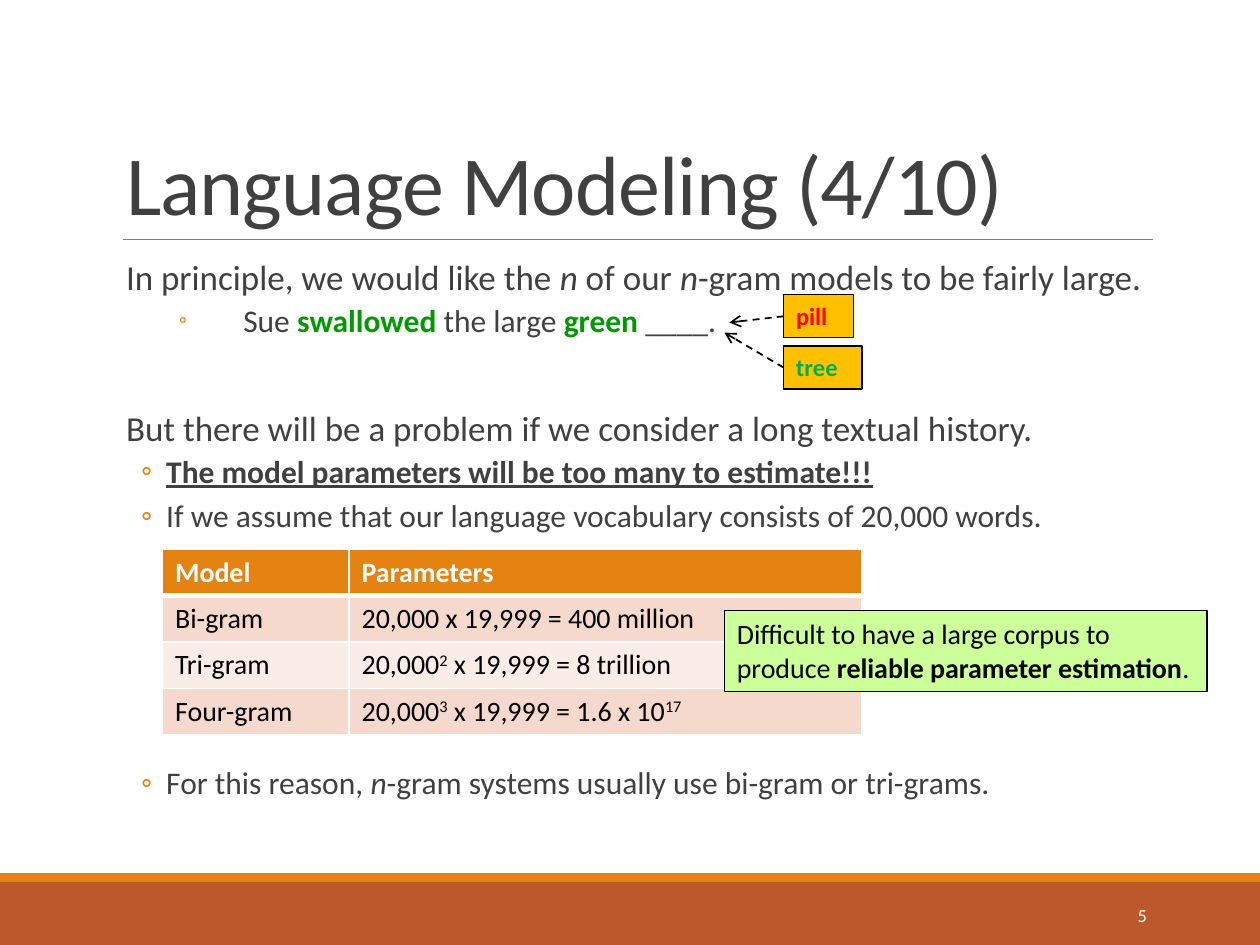
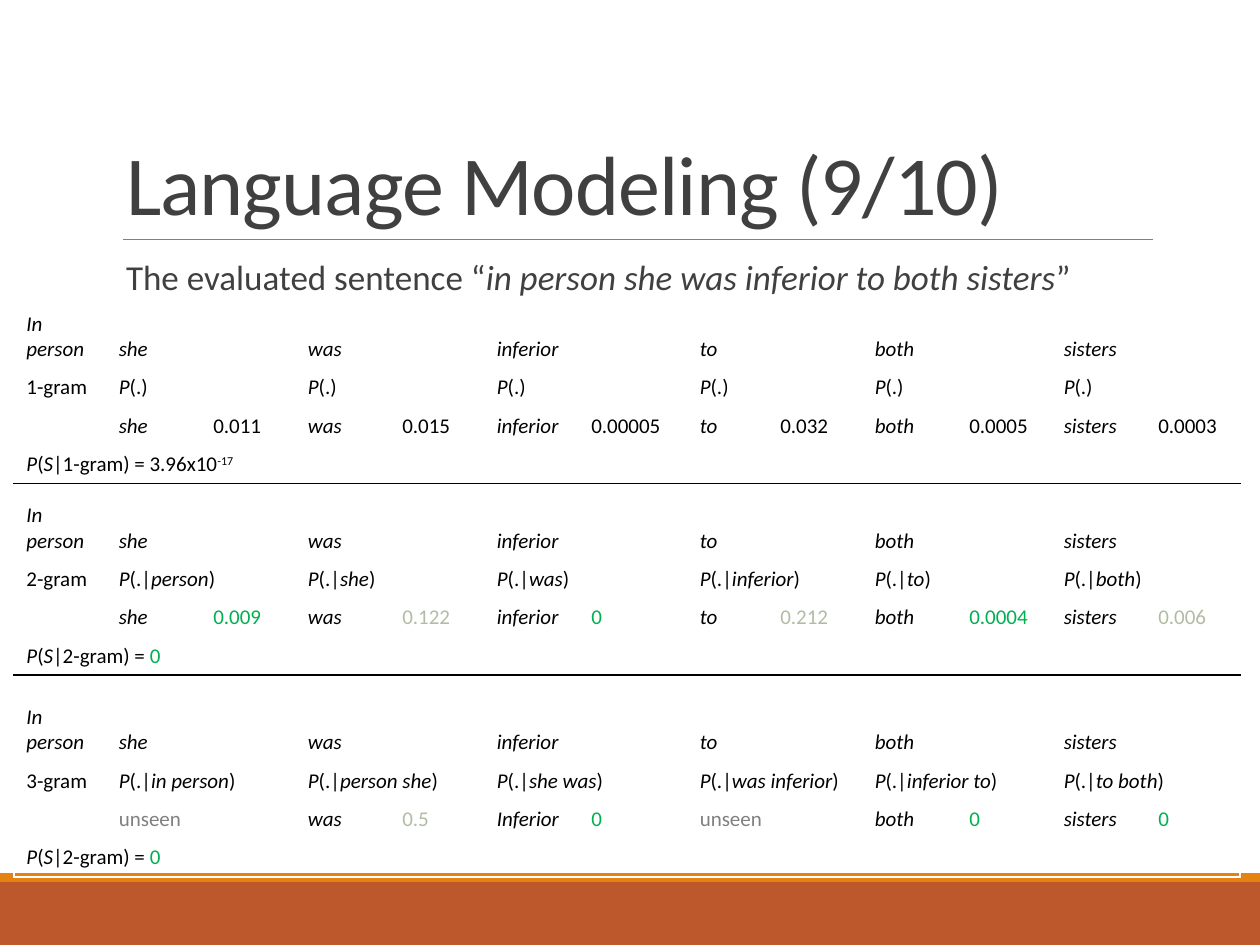
import pptx
import pptx.dml.color
import pptx.enum.dml
import pptx.enum.shapes
import pptx.enum.text
import pptx.oxml.ns
import pptx.util
from lxml import etree

Pt = pptx.util.Pt
RGBColor = pptx.dml.color.RGBColor
Anchor = pptx.enum.text.MSO_ANCHOR
Align = pptx.enum.text.PP_ALIGN
RECTANGLE = pptx.enum.shapes.MSO_SHAPE.RECTANGLE
STRAIGHT = pptx.enum.shapes.MSO_CONNECTOR.STRAIGHT

FONT = "Calibri"
RUST = RGBColor(0xBD, 0x58, 0x2C)
ORANGE = RGBColor(0xE4, 0x83, 0x12)
AMBER = RGBColor(0xFF, 0xC0, 0x00)
LIME = RGBColor(0xCC, 0xFF, 0x99)
PEACH = RGBColor(0xF5, 0xD9, 0xCC)
PALE_PEACH = RGBColor(0xFA, 0xED, 0xE7)
DARK = RGBColor(0x40, 0x40, 0x40)
GRAY = RGBColor(0x80, 0x80, 0x80)
SAGE = RGBColor(0xB2, 0xBC, 0xA4)
GREEN = RGBColor(0x00, 0xB0, 0x50)
WORD_GREEN = RGBColor(0x00, 0x99, 0x00)
RED = RGBColor(0xFF, 0x00, 0x00)
BLACK = RGBColor(0x00, 0x00, 0x00)
WHITE = RGBColor(0xFF, 0xFF, 0xFF)

BODY_BOX = (64.8, 145.4, 594, 330)
PARAMETER_ROWS = [
    ("Model", "Parameters"),
    ("Bi-gram", "20,000 x 19,999 = 400 million"),
    ("Tri-gram", "20,000^2^ x 19,999 = 8 trillion"),
    ("Four-gram", "20,000^3^ x 19,999 = 1.6 x 10^17^"),
]
WORDS = ["she", "was", "inferior", "to", "both", "sisters"]
GRAM_COLUMNS = [52.8] + [54] * 5 + [62, 46] + [54] * 5
GRAM_TABLES = [
    {"top": 174.2, "name": "1-gram", "given": [""] * 6, "labels": WORDS,
     "values": ["0.011", "0.015", "0.00005", "0.032", "0.0005", "0.0003"],
     "colors": [BLACK] * 6, "result": "3.96x10^-17^", "result_color": BLACK, "ruled": True},
    {"top": 283.7, "name": "2-gram", "labels": WORDS,
     "given": ["person", "she", "was", "inferior", "to", "both"],
     "values": ["0.009", "0.122", "0", "0.212", "0.0004", "0.006"],
     "colors": [GREEN, SAGE] * 3, "result": "0", "result_color": GREEN, "ruled": True},
    {"top": 398.9, "name": "3-gram", "result_name": "2-gram",
     "labels": ["unseen", "was", "Inferior", "unseen", "both", "sisters"],
     "given": ["in person", "person she", "she was", "was inferior", "inferior to", "to both"],
     "values": [None, "0.5", "0", None, "0", "0"],
     "colors": [GRAY, SAGE, GREEN, GRAY, GREEN, GREEN],
     "result": "0", "result_color": GREEN, "ruled": False},
]


def points(*lengths):
    """Turn plain numbers into point lengths."""
    return [Pt(length) for length in lengths]


def add_xml(parent, tag, **attributes):
    """Append a drawing element and return it."""
    return etree.SubElement(parent, pptx.oxml.ns.qn(tag), attributes)


def write_text(paragraph, text, size=18, color=DARK, bold=False, underline=False, spacing=None):
    """Add text to a paragraph; *stars* mark italics and ^carets^ mark superscript."""
    for star_index, star_part in enumerate(text.split("*")):
        for caret_index, part in enumerate(star_part.split("^")):
            if not part:
                continue
            run = paragraph.add_run()
            run.text = part
            font = run.font
            font.name, font.size, font.bold = FONT, Pt(size), bold
            font.italic, font.underline = star_index % 2 == 1, underline
            font.color.rgb = color
            if caret_index % 2:
                font._element.set("baseline", "30000")
            if spacing:
                font._element.set("spc", str(spacing))


def format_paragraph(paragraph, before, after, margin=7.2, hanging=0, bullet_size=None):
    """Set spacing and indents, with a ring bullet where a bullet size is given."""
    paragraph.line_spacing = 0.9
    paragraph.space_before, paragraph.space_after = points(before, after)
    properties = paragraph._p.get_or_add_pPr()
    properties.set("marL", str(Pt(margin)))
    properties.set("indent", str(Pt(-hanging)))
    if bullet_size:
        add_xml(add_xml(properties, "a:buClr"), "a:srgbClr", val=str(ORANGE))
        add_xml(properties, "a:buSzPct", val=str(bullet_size * 1000))
        add_xml(properties, "a:buFont", typeface=FONT)
        add_xml(properties, "a:buChar", char="◦")


def add_box(slide, box, fill, line=None):
    """Add a filled rectangle with left-aligned text."""
    shape = slide.shapes.add_shape(RECTANGLE, *points(*box))
    shape.shadow.inherit = False
    shape.fill.solid()
    shape.fill.fore_color.rgb = fill
    if line is None:
        shape.line.fill.background()
    else:
        shape.line.color.rgb = line
        shape.line.width = Pt(0.75)
    shape.text_frame.word_wrap = True
    shape.text_frame.vertical_anchor = Anchor.TOP
    shape.text_frame.paragraphs[0].alignment = Align.LEFT
    return shape


def add_line(slide, start, end, color, width):
    """Add a straight line without a shadow."""
    line = slide.shapes.add_connector(STRAIGHT, *points(*start, *end))
    line.line.color.rgb = color
    line.line.width = Pt(width)
    add_xml(line._element.spPr, "a:effectLst")
    return line


def add_arrow(slide, box, tip):
    """Draw a dashed arrow from the left side of a box to a tip."""
    arrow = add_line(slide, (0, 0), tip, BLACK, 1)
    arrow.begin_connect(box, 1)
    arrow.line.dash_style = pptx.enum.dml.MSO_LINE.DASH
    add_xml(arrow.line._get_or_add_ln(), "a:tailEnd", type="arrow")


def add_text_frame(slide, box, side_inset=0):
    """Add a wrapping text box and return its frame."""
    frame = slide.shapes.add_textbox(*points(*box)).text_frame
    frame.word_wrap = True
    frame.margin_left = frame.margin_right = Pt(side_inset)
    return frame


def add_frame(presentation, title):
    """Add a slide with the shared bands, rule and title."""
    slide = presentation.slides.add_slide(presentation.slide_layouts[5])
    add_box(slide, (0, 504, 720, 36), RUST)
    add_box(slide, (0, 499, 720, 5), ORANGE)
    add_line(slide, (70.4, 136.8), (658.8, 136.8), GRAY, 0.5)
    shape = slide.shapes.title
    shape.left, shape.top, shape.width, shape.height = points(64.8, 22.3, 594, 114.5)
    frame = shape.text_frame
    frame.auto_size = pptx.enum.text.MSO_AUTO_SIZE.NONE
    frame.word_wrap = True
    frame.vertical_anchor = Anchor.BOTTOM
    paragraph = frame.paragraphs[0]
    paragraph.alignment = Align.LEFT
    paragraph.line_spacing = 0.85
    write_text(paragraph, title, size=48, spacing=-50)
    return slide


def add_table(slide, left, top, columns, rows):
    """Add a plain table with the given column widths and row heights."""
    shape = slide.shapes.add_table(
        len(rows), len(columns), *points(left, top, sum(columns), sum(rows)))
    table = shape.table
    table.first_row = table.horz_banding = False
    for column, width in zip(table.columns, columns):
        column.width = Pt(width)
    for row, height in zip(table.rows, rows):
        row.height = Pt(height)
    return table


def set_border(cell, color, **widths):
    """Draw cell borders; the keywords L, R, T and B give widths."""
    properties = cell._tc.get_or_add_tcPr()
    for side, width in widths.items():
        line = add_xml(properties, "a:ln" + side, w=str(Pt(width)))
        add_xml(add_xml(line, "a:solidFill"), "a:srgbClr", val=str(color))


def add_parameter_table(slide, left, top):
    """Add the table of parameter counts per model."""
    table = add_table(slide, left, top, [106.6, 293], [26.5] * 4)
    for row, texts in enumerate(PARAMETER_ROWS):
        header = row == 0
        for column, text in enumerate(texts):
            cell = table.cell(row, column)
            set_border(cell, WHITE, L=1, R=1, T=3 if row == 1 else 1, B=3 if header else 1)
            cell.fill.solid()
            cell.fill.fore_color.rgb = ORANGE if header else PEACH if row % 2 else PALE_PEACH
            write_text(cell.text_frame.paragraphs[0], text, size=16, bold=header,
                       color=WHITE if header else BLACK)


def add_history_body(slide, box):
    """Write the text on long textual histories."""
    frame = add_text_frame(slide, box)
    main = {"before": 12, "after": 2}
    item = {"before": 2, "after": 4, "margin": 30.2, "hanging": 14.4, "bullet_size": 100}
    example = {**item, "margin": 74.2, "hanging": 36.7, "bullet_size": 70}
    large, green = {"size": 20}, {"color": WORD_GREEN, "bold": True}
    content = [
        (main, [("In principle, we would like the *n* of our *n*-gram models to be fairly large.",
                 large)]),
        (example, [("Sue ", {}), ("swallowed ", green), ("the large ", {}),
                   ("green", green), (" ____.", {})]),
        ({**main, "before": 37},
         [("But there will be a problem if we consider a long textual history.", large)]),
        (item, [("The model parameters will be too many to estimate!!!",
                 {"bold": True, "underline": True})]),
        (item, [("If we assume that our language vocabulary consists of 20,000 words.", {})]),
        ({**item, "before": 129},
         [("For this reason, *n*-gram systems usually use bi-gram or tri-grams.", {})]),
    ]
    for index, (layout, pieces) in enumerate(content):
        paragraph = frame.add_paragraph() if index else frame.paragraphs[0]
        format_paragraph(paragraph, **layout)
        for text, style in pieces:
            write_text(paragraph, text, **style)


def add_candidates(slide, left, top):
    """Add the candidate words with arrows to the gap in the sentence."""
    for text, color, offset, width, tip in [
            ("pill", RED, 0, 40, (-31, 15.8)), ("tree", GREEN, 29.3, 44.8, (-33.8, 21.6))]:
        box = add_box(slide, (left, top + offset, width, 24.5), AMBER, BLACK)
        write_text(box.text_frame.paragraphs[0], text, size=14, color=color, bold=True)
        add_arrow(slide, box, (left + tip[0], top + tip[1]))


def add_corpus_note(slide, box):
    """Add the green note on estimation."""
    frame = add_box(slide, box, LIME, BLACK).text_frame
    write_text(frame.paragraphs[0], "Difficult to have a large corpus to", size=16, color=BLACK)
    second = frame.add_paragraph()
    second.alignment = Align.LEFT
    for text, bold in [("produce", False), (" reliable parameter estimation", True), (".", False)]:
        write_text(second, text, size=16, color=BLACK, bold=bold)


def add_slide_number(slide, box, number):
    """Write the slide number on the lower band."""
    frame = add_text_frame(slide, box, side_inset=7.2)
    frame.vertical_anchor = Anchor.MIDDLE
    frame.paragraphs[0].alignment = Align.RIGHT
    write_text(frame.paragraphs[0], number, size=10.5, color=WHITE)


def add_gram_table(slide, left, gram):
    """Add the word probabilities of one n-gram model."""
    table = add_table(slide, left, gram["top"], GRAM_COLUMNS, [36.5, 21.9, 21.9, 21.9])

    def fill_cell(row, column, text, color=BLACK, span=1):
        cell = table.cell(row, column)
        if span > 1:
            cell.merge(table.cell(row, column + span - 1))
        write_text(cell.text_frame.paragraphs[0], text, size=12, color=color)

    fill_cell(0, 0, "*In*")
    write_text(table.cell(0, 0).text_frame.add_paragraph(), "*person*", size=12, color=BLACK)
    fill_cell(1, 0, gram["name"])
    details = zip(WORDS, gram["given"], gram["labels"], gram["values"], gram["colors"])
    for index, (word, given, label, value, color) in enumerate(details):
        column = 1 + 2 * index
        fill_cell(0, column, f"*{word}*")
        if given:
            fill_cell(1, column, f"*P*(.|*{given}*)", span=2)
        else:
            fill_cell(1, column, "*P*(.)")
        if value is None:
            fill_cell(2, column, label, color, span=2)
        else:
            fill_cell(2, column, f"*{label}*")
            fill_cell(2, column + 1, value, color)
    fill_cell(3, 0, f"*P*(*S*|{gram.get('result_name', gram['name'])}) = ",
              span=len(GRAM_COLUMNS))
    write_text(table.cell(3, 0).text_frame.paragraphs[0], gram["result"],
               size=12, color=gram["result_color"])
    for index, cell in enumerate(table.iter_cells()):
        row = index // len(GRAM_COLUMNS)
        if row == 3 and gram["ruled"]:
            set_border(cell, BLACK, B=1)
        cell.fill.background()
        cell.vertical_anchor = Anchor.MIDDLE if row else Anchor.BOTTOM
        if not cell.text_frame.text:
            add_xml(cell.text_frame.paragraphs[0]._p, "a:endParaRPr", sz="1200")


def build_history_slide(presentation):
    """Build the slide on model parameters."""
    slide = add_frame(presentation, "Language Modeling (4/10)")
    add_history_body(slide, BODY_BOX)
    add_slide_number(slide, (584.6, 508.3, 77.8, 28.8), "5")
    add_candidates(slide, 447.8, 168.5)
    add_parameter_table(slide, 92.9, 313.9)
    add_corpus_note(slide, (414, 349, 275.8, 46))


def build_sentence_slide(presentation):
    """Build the slide on the evaluated sentence."""
    slide = add_frame(presentation, "Language Modeling (9/10)")
    paragraph = add_text_frame(slide, BODY_BOX).paragraphs[0]
    format_paragraph(paragraph, 12, 2)
    write_text(paragraph, "The evaluated sentence “*in person she was inferior to both sisters*”",
               size=20)
    for gram in GRAM_TABLES:
        add_gram_table(slide, 7.9, gram)


def main():
    """Build and save the presentation."""
    presentation = pptx.Presentation()
    presentation.slide_width, presentation.slide_height = points(720, 540)
    build_history_slide(presentation)
    build_sentence_slide(presentation)
    presentation.save("out.pptx")


if __name__ == "__main__":
    main()
